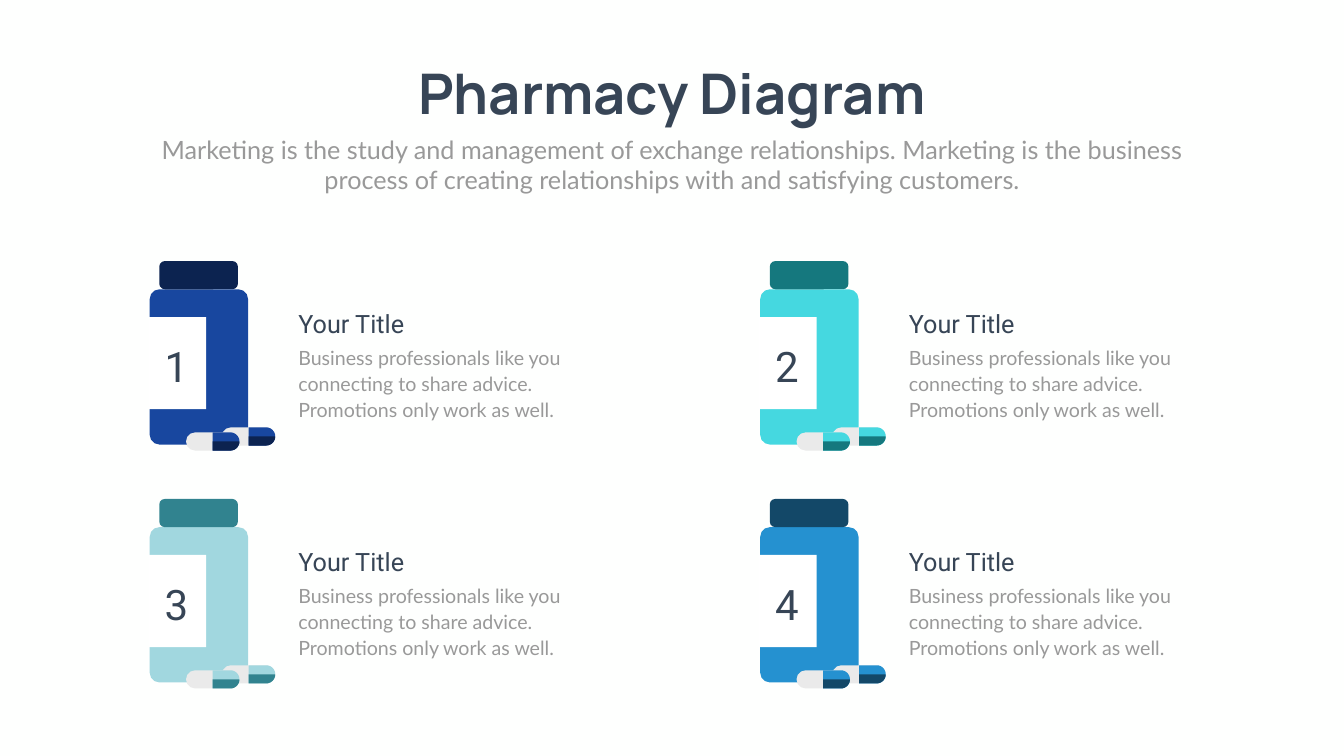
from math import cos, radians, sin

from pptx import Presentation
from pptx.dml.color import RGBColor
from pptx.enum.shapes import MSO_SHAPE
from pptx.enum.text import MSO_ANCHOR, MSO_AUTO_SIZE, PP_ALIGN
from pptx.util import Pt

PX = 9144
ROUNDED, RECTANGLE = MSO_SHAPE.ROUNDED_RECTANGLE, MSO_SHAPE.RECTANGLE
LEFT, CENTER = PP_ALIGN.LEFT, PP_ALIGN.CENTER
TOP = MSO_ANCHOR.TOP
GROW = MSO_AUTO_SIZE.SHAPE_TO_FIT_TEXT

PAPER = RGBColor(0xFE, 0xFF, 0xFE)
WHITE = RGBColor(0xFF, 0xFF, 0xFF)
SLATE = RGBColor(0x37, 0x45, 0x56)
GRAY = RGBColor(0x99, 0x99, 0x99)
CAPSULE = RGBColor(0xEA, 0xEA, 0xEA)
BLUE, NAVY = RGBColor(0x18, 0x47, 0x9F), RGBColor(0x0C, 0x23, 0x50)
CYAN, TEAL = RGBColor(0x45, 0xD8, 0xE0), RGBColor(0x15, 0x78, 0x7E)
PALE, SEA = RGBColor(0xA1, 0xD7, 0xDF), RGBColor(0x31, 0x83, 0x8F)
SKY, DEEP = RGBColor(0x25, 0x91, 0xD0), RGBColor(0x13, 0x48, 0x68)

HEADING = {"name": "Manrope", "size": Pt(80), "bold": True}
SUBTITLE = {"name": "Lato", "size": Pt(36)}
ITEM_TITLE = {"name": "Roboto", "size": Pt(36)}
ITEM_BODY = {"name": "Lato", "size": Pt(28)}
NUMBER = {"name": "Roboto", "size": Pt(60)}

SUMMARY = ("Marketing is the study and management of exchange relationships. "
           "Marketing is the business process of creating relationships with "
           "and satisfying customers.")
ADVICE = ("Business professionals like you connecting to share advice. "
          "Promotions only work as well.")
BOTTLES = [("1", BLUE, NAVY), ("2", CYAN, TEAL), ("3", PALE, SEA), ("4", SKY, DEEP)]

PILL_WIDTH, PILL_HEIGHT = 106, 36


def emu(*lengths):
    return [round(length * PX) for length in lengths]


def paint(shape, color):
    shape.shadow.inherit = False
    shape.fill.solid()
    shape.fill.fore_color.rgb = color
    shape.line.fill.background()


def add_block(shapes, kind, box, color, corner=0):
    block = shapes.add_shape(kind, *emu(*box))
    if corner:
        block.adjustments[0] = corner / min(box[2:])
    paint(block, color)


def write(holder, text, font, color, align=LEFT, wrap=True, spacing=None):
    frame = holder.text_frame
    for key, value in {"word_wrap": wrap, "auto_size": GROW,
                       "vertical_anchor": TOP}.items():
        setattr(frame, key, value)
    paragraph = frame.paragraphs[0]
    paragraph.text = text
    paragraph.alignment = align
    if spacing:
        paragraph.line_spacing = spacing
    for key, value in font.items():
        setattr(paragraph.font, key, value)
    paragraph.font.color.rgb = color


def add_text(shapes, box, *args, **options):
    write(shapes.add_textbox(*emu(*box)), *args, **options)


def add_pill_end(shapes, left, top, first_angle, color):
    radius = PILL_HEIGHT / 2
    middle, center_x, center_y = left + PILL_WIDTH / 2, left + PILL_WIDTH - radius, top + radius
    arc = [(center_x + radius * cos(radians(angle)), center_y + radius * sin(radians(angle)))
           for angle in range(first_angle, 91, 6)]
    corners = [(middle, top + PILL_HEIGHT), (middle, arc[0][1])]
    points = [emu(*point) for point in arc + corners]
    builder = shapes.build_freeform(*points[0], scale=1.0)
    builder.add_line_segments(points[1:], close=True)
    paint(builder.convert_to_shape(), color)


def add_pill(slide, left, top, light, dark):
    pill = slide.shapes.add_group_shape().shapes
    add_block(pill, ROUNDED, (left, top, PILL_WIDTH, PILL_HEIGHT), CAPSULE, PILL_HEIGHT / 2)
    add_pill_end(pill, left, top, -90, light)
    add_pill_end(pill, left, top, 0, dark)


def add_header(slide, left, top, width):
    title = slide.shapes.title
    title.left, title.top, title.width, title.height = emu(left + 462, top, width - 924, 145)
    write(title, "Pharmacy Diagram", HEADING, SLATE, CENTER, wrap=False)
    add_text(slide.shapes, (left, top + 149, width, 131), SUMMARY, SUBTITLE, GRAY, CENTER)


def add_bottle(slide, left, top, number, light, dark):
    shapes = slide.shapes
    add_block(shapes, ROUNDED, (left + 5, top + 56, 195, 308), light, 19)
    add_block(shapes, RECTANGLE, (left + 3, top + 111, 114, 183), WHITE)
    add_block(shapes, ROUNDED, (left + 24, top, 156, 56), dark, 11)
    add_pill(slide, left + 148, top + 330, light, dark)
    add_pill(slide, left + 77, top + 340, light, dark)
    add_text(shapes, (left + 290, top + 160, 650, 161), ADVICE, ITEM_BODY, GRAY,
             spacing=Pt(36.6))
    add_text(shapes, (left + 290, top + 89, 412, 71), "Your Title", ITEM_TITLE, SLATE)
    add_text(shapes, (left, top + 153, 116, 111), number, NUMBER, SLATE, CENTER)


def main():
    deck = Presentation()
    deck.slide_width, deck.slide_height = emu(2666, 1500)
    slide = deck.slides.add_slide(deck.slide_layouts[5])
    slide.background.fill.solid()
    slide.background.fill.fore_color.rgb = PAPER
    add_header(slide, 292, 112, 2082)
    for index, bottle in enumerate(BOTTLES):
        row, column = divmod(index, 2)
        add_bottle(slide, 292 + column * 1211, 518 + row * 472, *bottle)
    deck.save("out.pptx")


if __name__ == "__main__":
    main()
